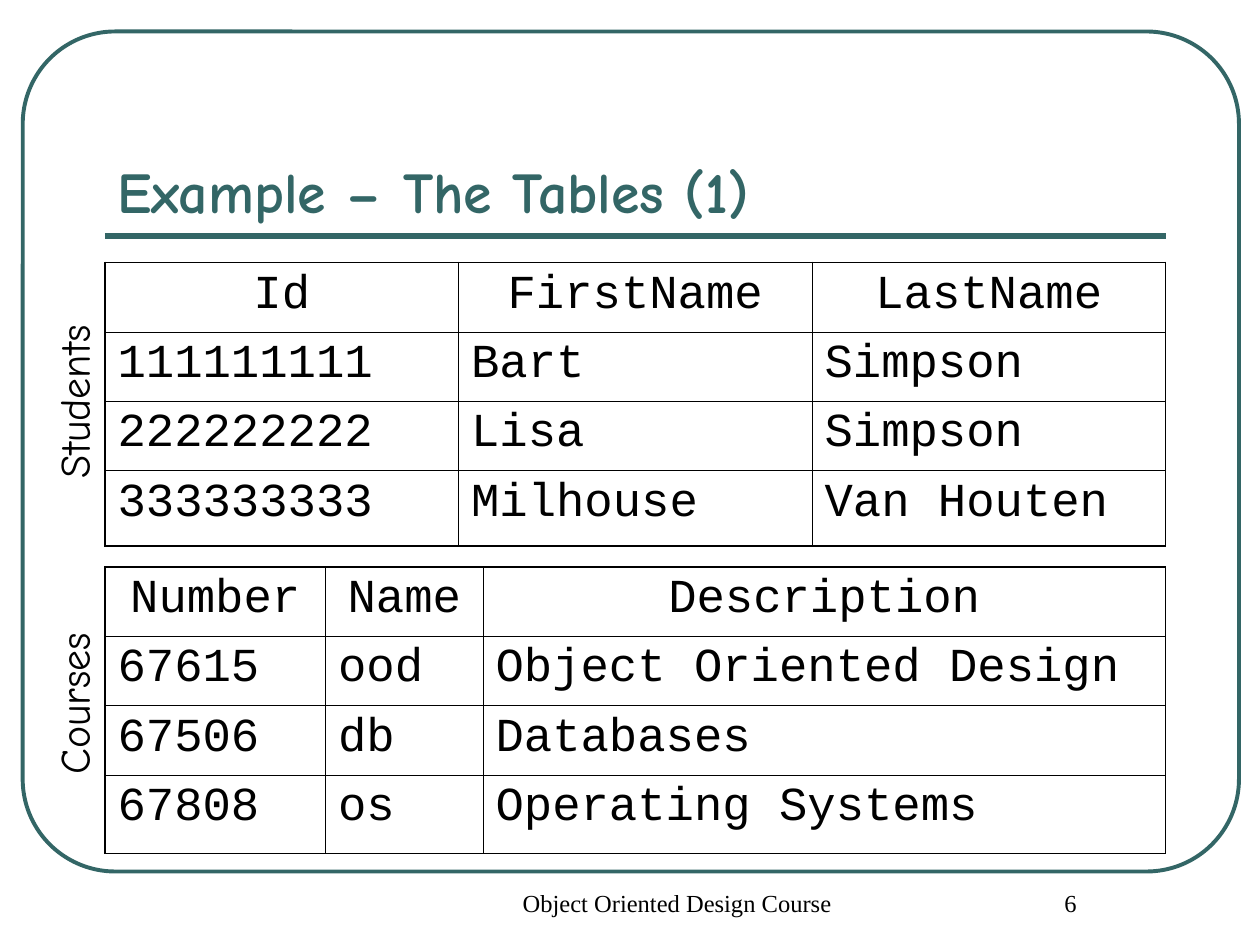
import pptx
import pptx.util
import pptx.dml.color
import pptx.enum.shapes
import pptx.enum.text
import pptx.oxml.ns
from lxml import etree

Pt = pptx.util.Pt
ALIGN = pptx.enum.text.PP_ALIGN
ANCHOR = pptx.enum.text.MSO_ANCHOR
COLOURS = {"teal": "336666", "ink": "000000"}
LEFT, WIDTH, ROW_HEIGHT = 60, 606, 39.6


def write(frame, text, font, size, colour="ink", align=ALIGN.LEFT, bold=False):
    frame.text = text
    paragraph = frame.paragraphs[0]
    paragraph.alignment = align
    run_font = paragraph.runs[0].font
    run_font.name = font
    run_font.size = Pt(size)
    run_font.bold = bold
    run_font.color.rgb = pptx.dml.color.RGBColor.from_string(COLOURS[colour])


def add_border(cell, side, width):
    qn = pptx.oxml.ns.qn
    line = etree.SubElement(cell._tc.get_or_add_tcPr(), qn(f"a:ln{side}"), w=str(Pt(width)))
    fill = etree.SubElement(line, qn("a:solidFill"))
    etree.SubElement(fill, qn("a:srgbClr"), val=COLOURS["ink"])


deck = pptx.Presentation()
deck.slide_width, deck.slide_height = Pt(720), Pt(540)
slide = deck.slides.add_slide(deck.slide_layouts[6])
teal = pptx.dml.color.RGBColor.from_string(COLOURS["teal"])

frame = slide.shapes.add_shape(
    pptx.enum.shapes.MSO_SHAPE.ROUNDED_RECTANGLE, Pt(13), Pt(18), Pt(695), Pt(480))
frame.adjustments[0] = 0.11
frame.shadow.inherit = False
frame.fill.background()
frame.line.color.rgb = teal
frame.line.width = Pt(2.25)

title_rule = slide.shapes.add_connector(
    pptx.enum.shapes.MSO_CONNECTOR.STRAIGHT, Pt(LEFT), Pt(134.8), Pt(LEFT + WIDTH), Pt(134.8))
title_rule.line.color.rgb = teal
title_rule.line.width = Pt(3)
etree.SubElement(title_rule._element.spPr, pptx.oxml.ns.qn("a:effectLst"))

title = slide.shapes.add_textbox(Pt(LEFT), Pt(42), Pt(WIDTH), Pt(90)).text_frame
title.word_wrap = True
title.vertical_anchor = ANCHOR.BOTTOM
write(title, "Example – The Tables (1)", "Comic Neue", 33, "teal", bold=True)

tables = [
    ("Students", 150, 162, 229.5, [202, 202, 202], [
        ["Id", "FirstName", "LastName"],
        ["111111111", "Bart", "Simpson"],
        ["222222222", "Lisa", "Simpson"],
        ["333333333", "Milhouse", "Van Houten"],
    ]),
    ("Courses", 324, 163.5, 402, [126, 90, 390], [
        ["Number", "Name", "Description"],
        ["67615", "ood", "Object Oriented Design"],
        ["67506", "db", "Databases"],
        ["67808", "os", "Operating Systems"],
    ]),
]

for name, top, height, label_middle, column_widths, records in tables:
    last_row, last_column = len(records) - 1, len(column_widths) - 1
    table = slide.shapes.add_table(
        len(records), len(column_widths), Pt(LEFT), Pt(top), Pt(WIDTH), Pt(height)).table
    table.first_row = table.horz_banding = False
    for column, column_width in zip(table.columns, column_widths):
        column.width = Pt(column_width)
    for r, record in enumerate(records):
        table.rows[r].height = Pt(ROW_HEIGHT if r < last_row else height - last_row * ROW_HEIGHT)
        for c, value in enumerate(record):
            cell = table.cell(r, c)
            write(cell.text_frame, value, "Courier New", 27,
                  align=ALIGN.LEFT if r else ALIGN.CENTER)
            outer_sides = {"L": c == 0, "R": c == last_column, "T": r == 0, "B": r == last_row}
            for side, is_outer in outer_sides.items():
                add_border(cell, side, 1.08 if is_outer else 0.45)
            cell.fill.background()

    label = slide.shapes.add_textbox(Pt(-28.2), Pt(label_middle - 18), Pt(140), Pt(36))
    label.rotation = 270
    label.text_frame.word_wrap = True
    write(label.text_frame, name, "Comic Neue", 24, align=ALIGN.CENTER)

for text, left, width in [("Object Oriented Design Course", 281.5, 211), ("6", 557.3, 108.7)]:
    footer = slide.shapes.add_textbox(Pt(left), Pt(504), Pt(width), Pt(36)).text_frame
    footer.word_wrap = True
    write(footer, text, "Times New Roman", 14, align=ALIGN.CENTER)

deck.save("out.pptx")
